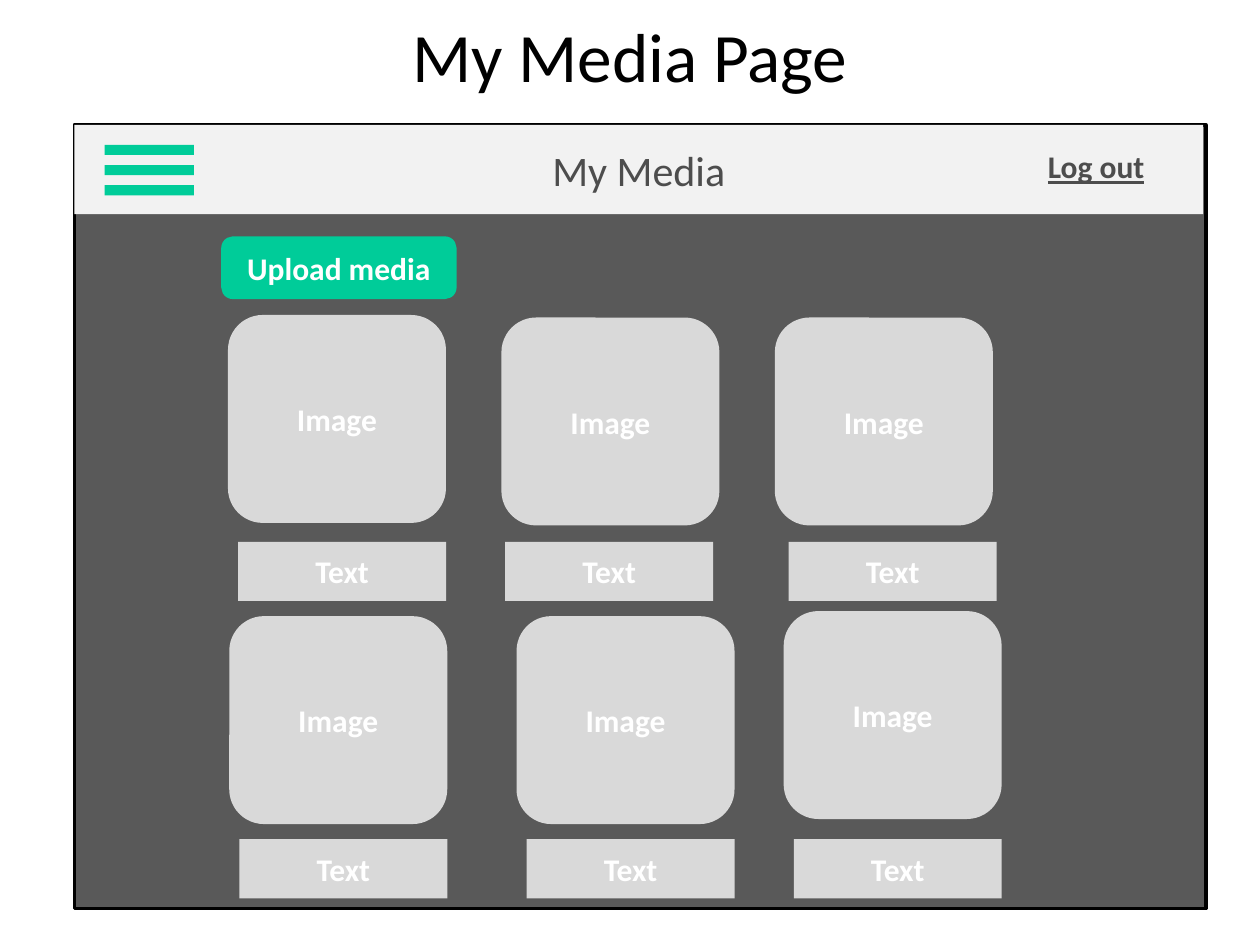
from pptx import Presentation
from pptx import util as u
from pptx.dml.color import RGBColor
from pptx.enum import shapes, text

COLORS = {
    "black": "000000", "white": "FFFFFF", "panel": "595959", "header": "F2F2F2",
    "accent": "00CC99", "tile": "D9D9D9", "ink": "4D4D4D",
}
RECT = shapes.MSO_SHAPE.RECTANGLE
ROUNDED = shapes.MSO_SHAPE.ROUNDED_RECTANGLE
LABEL = {"size": u.Pt(18), "bold": True}

prs = Presentation()
prs.slide_width, prs.slide_height = u.Inches(10), u.Inches(7.5)
slide = prs.slides.add_slide(prs.slide_layouts[6])


def add_block(kind, box, fill, line=None):
    block = slide.shapes.add_shape(kind, *map(u.Inches, box))
    block.shadow.inherit = False
    block.fill.solid()
    block.fill.fore_color.rgb = RGBColor.from_string(COLORS[fill])
    if line:
        block.line.color.rgb = RGBColor.from_string(COLORS[line])
        block.line.width = u.Pt(2)
    else:
        block.line.fill.background()
    return block


def write(holder, words, color, font, anchor=text.MSO_ANCHOR.MIDDLE):
    frame = holder.text_frame
    frame.word_wrap = True
    frame.vertical_anchor = anchor
    paragraph = frame.paragraphs[0]
    paragraph.alignment = text.PP_ALIGN.CENTER
    run = paragraph.add_run()
    run.text = words
    run.font.color.rgb = RGBColor.from_string(COLORS[color])
    for name, value in {"name": "Calibri", **font}.items():
        setattr(run.font, name, value)


# Page title
title = slide.shapes.add_textbox(*map(u.Inches, (0.5, 0.13, 9, 0.61)))
write(title, "My Media Page", "black", {"size": u.Pt(39.6)})

# Page frame and header bar
add_block(RECT, (0.59, 0.99, 8.98, 6.22), "panel", "black")
header = add_block(RECT, (0.59, 0.99, 8.96, 0.71), "header")
write(header, "My Media", "ink", {"size": u.Pt(24)})

# Menu icon
for bar in range(3):
    add_block(RECT, (0.83, 1.15 + 0.16 * bar, 0.71, 0.08), "accent")

# Log out link
logout = slide.shapes.add_textbox(*map(u.Inches, (7.99, 1.12, 1.42, 0.4)))
write(logout, "Log out", "ink", {**LABEL, "underline": True}, text.MSO_ANCHOR.TOP)

# Media gallery: image corner, then caption corner
gallery = [
    ((1.81, 2.50), (1.89, 4.30)),
    ((3.98, 2.52), (4.01, 4.30)),
    ((6.15, 2.52), (6.26, 4.30)),
    ((1.82, 4.89), (1.90, 6.66)),
    ((4.10, 4.89), (4.18, 6.66)),
    ((6.22, 4.85), (6.30, 6.66)),
]
for image_corner, caption_corner in gallery:
    image = add_block(ROUNDED, (*image_corner, 1.73, 1.65), "tile")
    write(image, "Image", "white", LABEL)
    caption = add_block(RECT, (*caption_corner, 1.65, 0.47), "tile")
    write(caption, "Text", "white", LABEL)

# Upload button
upload = add_block(ROUNDED, (1.77, 1.89, 1.84, 0.47), "accent", "accent")
write(upload, "Upload media", "white", LABEL)

prs.save("out.pptx")
